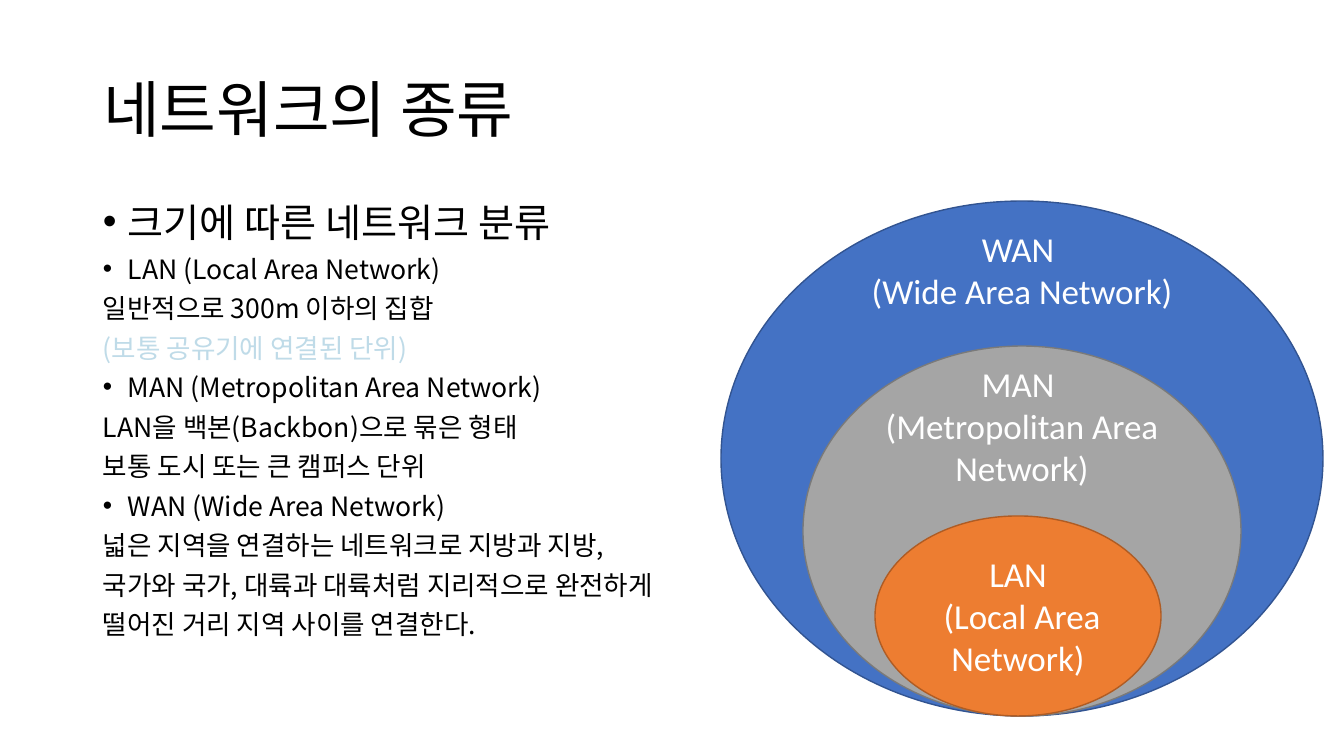
from lxml import etree
from pptx import Presentation
from pptx.dml.color import RGBColor
from pptx.enum.shapes import MSO_SHAPE
from pptx.enum.text import MSO_ANCHOR, PP_ALIGN
from pptx.oxml.ns import qn
from pptx.util import Emu, Pt

OVAL = MSO_SHAPE.OVAL
TOP, MIDDLE = MSO_ANCHOR.TOP, MSO_ANCHOR.MIDDLE
LEFT, CENTER = PP_ALIGN.LEFT, PP_ALIGN.CENTER

# Content
COLORS = {
    "text": "000000", "note": "BFDBE8", "label": "FFFFFF",
    "wan": "4472C4", "wan_line": "325491",
    "man": "A5A5A5", "man_line": "7A7A7A",
    "lan": "ED7D31", "lan_line": "AF5C24",
}
HEADING_FONT, BODY_FONT = "Calibri", "Noto Sans CJK KR"
TITLE = "네트워크의 종류"
TITLE_BOX = (93, 40, 1159, 146)
BODY_BOX = (93, 202, 1159, 480)
# text, bulleted, size, font, color
BODY = [
    ("크기에 따른 네트워크 분류", True, 28, HEADING_FONT, "text"),
    ("LAN (Local Area Network)", True, 19, BODY_FONT, "text"),
    ("일반적으로 300m 이하의 집합", False, 19, BODY_FONT, "text"),
    ("(보통 공유기에 연결된 단위)", False, 19, BODY_FONT, "note"),
    ("MAN (Metropolitan Area Network)", True, 19, BODY_FONT, "text"),
    ("LAN을 백본(Backbon)으로 묶은 형태", False, 19, BODY_FONT, "text"),
    ("보통 도시 또는 큰 캠퍼스 단위", False, 19, BODY_FONT, "text"),
    ("WAN (Wide Area Network)", True, 19, BODY_FONT, "text"),
    ("넓은 지역을 연결하는 네트워크로 지방과 지방,", False, 19, BODY_FONT, "text"),
    ("국가와 국가, 대륙과 대륙처럼 지리적으로 완전하게", False, 19, BODY_FONT, "text"),
    ("떨어진 거리 지역 사이를 연결한다.", False, 19, BODY_FONT, "text"),
]
# color, oval box, label top (None centres the label in the oval), lines
NETWORKS = [
    ("wan", (721, 201, 602, 515), 223, ("WAN ", "(Wide Area Network)")),
    ("man", (803, 346, 438, 370), 358, ("MAN ", "(Metropolitan Area Network)")),
    ("lan", (875, 516, 286, 200), None, ("LAN", " (Local Area Network)")),
]
LABEL_WIDTH_RATIO = 0.71
BULLET_INDENT = 25
SCALE = 9144000 / 1008


def px(value):
    return Emu(round(value * SCALE))


def emu_box(box):
    return [px(value) for value in box]


def color(name):
    return RGBColor.from_string(COLORS[name])


def format_paragraph(paragraph, size, font, color_name, alignment):
    paragraph.alignment = alignment
    for run in paragraph.runs:
        run.font.size = Pt(size)
        run.font.name = font
        run.font.color.rgb = color(color_name)
        # Korean letters and the spaces between them
        east_asian = etree.SubElement(run._r.get_or_add_rPr(), qn("a:ea"))
        east_asian.set("typeface", BODY_FONT)


def add_bullet(paragraph):
    properties = paragraph._p.get_or_add_pPr()
    properties.set("marL", str(px(BULLET_INDENT)))
    properties.set("indent", str(-px(BULLET_INDENT)))
    etree.SubElement(properties, qn("a:buFont")).set("typeface", "Arial")
    etree.SubElement(properties, qn("a:buChar")).set("char", "•")


def write_label(shape, lines, anchor):
    frame = shape.text_frame
    frame.word_wrap = True
    frame.vertical_anchor = anchor
    frame.text = "\n".join(lines)
    for paragraph in frame.paragraphs:
        format_paragraph(paragraph, 25, HEADING_FONT, "label", CENTER)


presentation = Presentation()
presentation.slide_width, presentation.slide_height = px(1344), px(756)
slide = presentation.slides.add_slide(presentation.slide_layouts[5])

# Title
title = slide.shapes.title
title.left, title.top, title.width, title.height = emu_box(TITLE_BOX)
title.text_frame.text = TITLE
title.text_frame.vertical_anchor = MIDDLE
title_paragraph = title.text_frame.paragraphs[0]
title_paragraph.line_spacing = 0.9
format_paragraph(title_paragraph, 44, HEADING_FONT, "text", LEFT)

# Nested networks
for name, box, label_top, lines in NETWORKS:
    oval = slide.shapes.add_shape(OVAL, *emu_box(box))
    oval.shadow.inherit = False
    oval.fill.solid()
    oval.fill.fore_color.rgb = color(name)
    oval.line.color.rgb = color(name + "_line")
    oval.line.width = Pt(1)
    if label_top is None:
        write_label(oval, lines, MIDDLE)
    else:
        left, top, width, height = box
        label_width = width * LABEL_WIDTH_RATIO
        label_left = left + (width - label_width) / 2
        label = slide.shapes.add_textbox(
            *emu_box((label_left, label_top, label_width, 100)))
        write_label(label, lines, TOP)

# Description
body = slide.shapes.add_textbox(*emu_box(BODY_BOX)).text_frame
body.word_wrap = True
body.text = "\n".join(entry[0] for entry in BODY)
for paragraph, (text, bulleted, size, font, color_name) in zip(body.paragraphs, BODY):
    paragraph.line_spacing = 0.8
    paragraph.space_before = Pt(10)
    format_paragraph(paragraph, size, font, color_name, LEFT)
    if bulleted:
        add_bullet(paragraph)

presentation.save("out.pptx")
